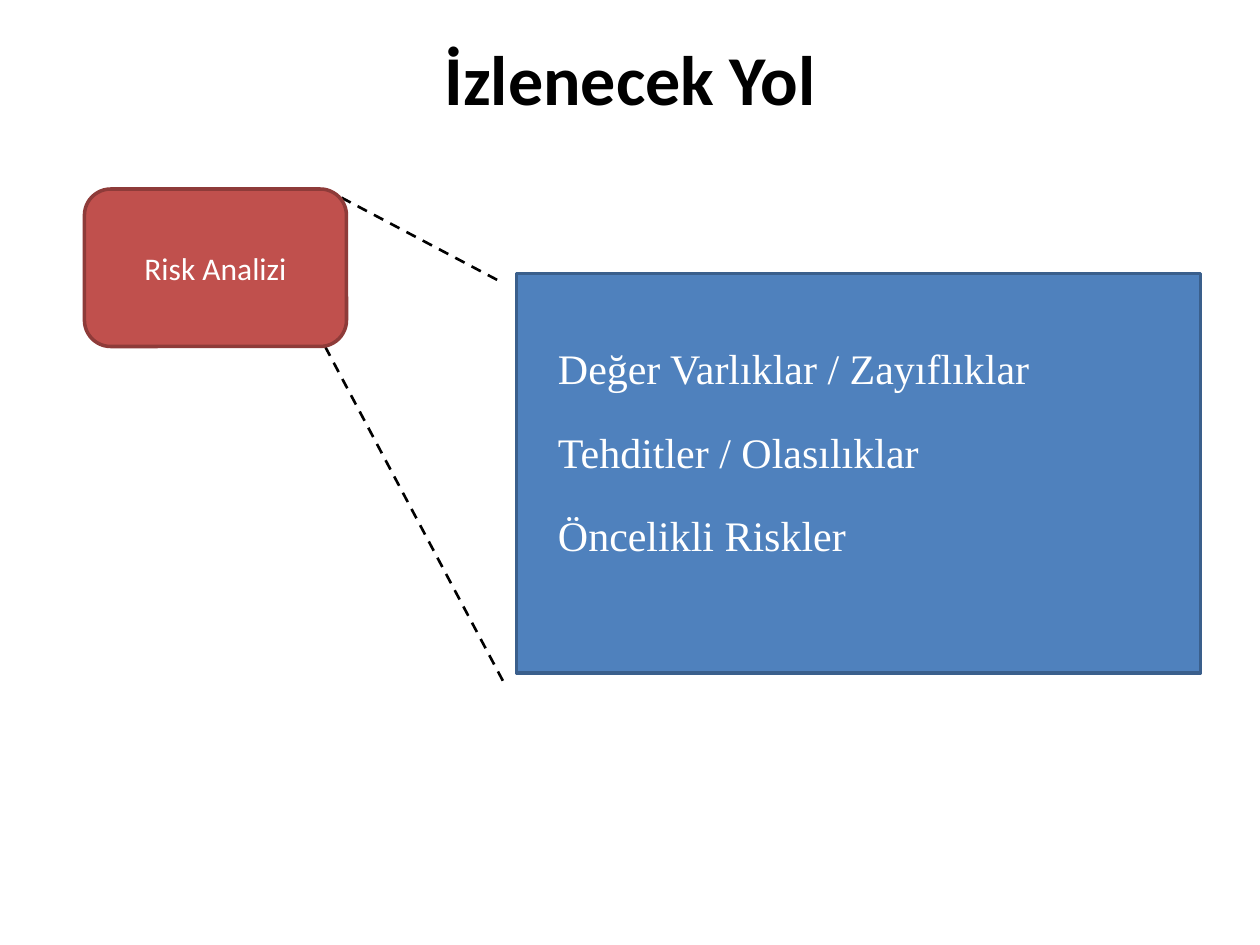
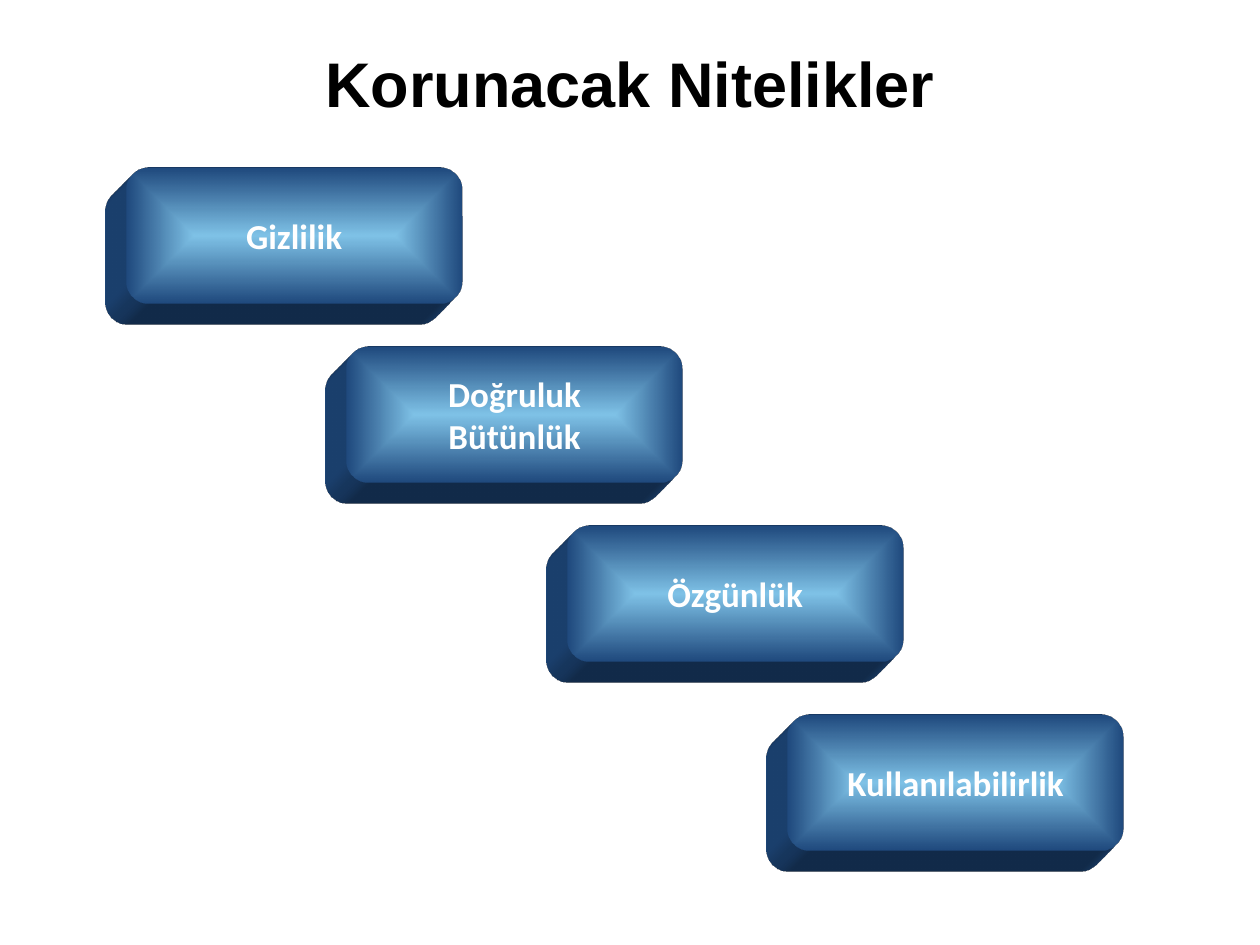
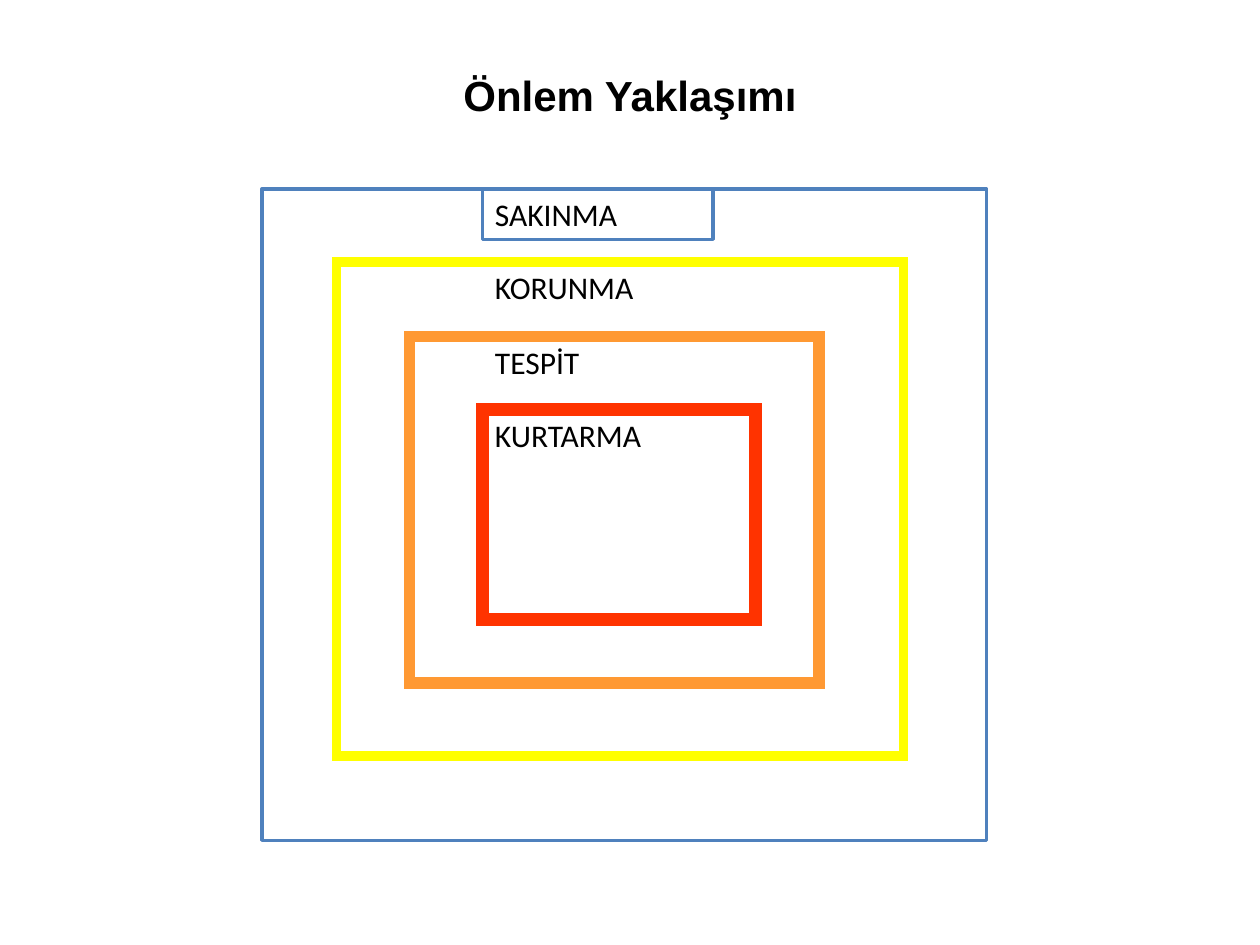
from dataclasses import dataclass
from typing import Optional

from lxml import etree
from pptx import Presentation
from pptx.dml.color import RGBColor
from pptx.enum import dml, shapes, text
from pptx.oxml import parse_xml
from pptx.oxml.ns import nsdecls, qn
from pptx.util import Inches, Pt

COLORS = {
    "black": "000000", "white": "FFFFFF",
    "blue": "4F81BD", "blue_edge": "3A5F8C",
    "red": "C0504D", "red_edge": "8E3B39",
    "glow": "7FC2E7", "navy": "1F497D",
    "yellow": "FFFF00", "orange": "FF9933", "scarlet": "FF3300",
}
RECT = shapes.MSO_SHAPE.RECTANGLE
ROUNDED = shapes.MSO_SHAPE.ROUNDED_RECTANGLE
MIDDLE = text.MSO_ANCHOR.MIDDLE
CENTER = text.PP_ALIGN.CENTER


@dataclass(frozen=True)
class Area:
    left: float
    top: float
    width: float
    height: float

    def lengths(self) -> tuple:
        return tuple(Inches(v) for v in (self.left, self.top, self.width, self.height))


@dataclass(frozen=True)
class TextStyle:
    size: float
    font: str = "Calibri"
    color: str = "black"
    bold: bool = False
    align: Optional[text.PP_ALIGN] = None
    gap: float = 0


@dataclass(frozen=True)
class Layer:
    label: str
    frame: Area
    color: str
    line_width: float
    label_width: float
    boxed: bool = False


STEP_STYLE = TextStyle(18, color="white", align=CENTER)
DETAIL_STYLE = TextStyle(24, "Times New Roman", "white", gap=19)
QUALITY_STYLE = TextStyle(20, color="white", bold=True, align=CENTER)
LAYER_STYLE = TextStyle(18)

DETAILS = ["Değer Varlıklar / Zayıflıklar", "Tehditler / Olasılıklar", "Öncelikli Riskler"]
QUALITIES = [
    (["Gizlilik"], 1.33),
    (["Doğruluk", "Bütünlük"], 2.75),
    (["Özgünlük"], 4.17),
    (["Kullanılabilirlik"], 5.67),
]
LAYERS = [
    Layer("SAKINMA", Area(2.08, 1.5, 5.75, 5.17), "blue", 2, 1.83, boxed=True),
    Layer("KORUNMA", Area(2.67, 2.08, 4.5, 3.92), "yellow", 5.5, 2),
    Layer("TESPİT", Area(3.25, 2.67, 3.25, 2.75), "orange", 6.5, 1.83),
    Layer("KURTARMA", Area(3.83, 3.25, 2.17, 1.67), "scarlet", 7.5, 2.33),
]
LABEL_LEFT = 3.83


def rgb(name: str) -> RGBColor:
    return RGBColor.from_string(COLORS[name])


def write(frame, lines: list[str], style: TextStyle, anchor=text.MSO_ANCHOR.TOP,
          wrap: bool = True) -> None:
    frame_format = {"auto_size": text.MSO_AUTO_SIZE.NONE, "word_wrap": wrap,
                    "vertical_anchor": anchor}
    for key, value in frame_format.items():
        setattr(frame, key, value)
    font_format = {"size": Pt(style.size), "name": style.font, "bold": style.bold}
    for index, line in enumerate(lines):
        paragraph = frame.add_paragraph() if index else frame.paragraphs[0]
        paragraph.alignment = style.align or text.PP_ALIGN.LEFT
        if index and style.gap:
            paragraph.space_before = Pt(style.gap)
        run = paragraph.add_run()
        run.text = line
        for key, value in font_format.items():
            setattr(run.font, key, value)
        run.font.color.rgb = rgb(style.color)


def add_titled_slide(deck, title: str, size: float, font: str):
    slide = deck.slides.add_slide(deck.slide_layouts[5])
    heading = slide.shapes.title
    heading.left, heading.top, heading.width, heading.height = Area(0, 0, 10, 1).lengths()
    write(heading.text_frame, [title], TextStyle(size, font, bold=True, align=CENTER),
          text.MSO_ANCHOR.BOTTOM)
    return slide


def add_block(slide, kind, area: Area, fill: Optional[str] = None,
              edge: Optional[str] = None, edge_width: float = 2):
    block = slide.shapes.add_shape(kind, *area.lengths())
    block.shadow.inherit = False
    if fill:
        block.fill.solid()
        block.fill.fore_color.rgb = rgb(fill)
    else:
        block.fill.background()
    if edge:
        block.line.color.rgb = rgb(edge)
        block.line.width = Pt(edge_width)
    else:
        block.line.fill.background()
    return block


def add_label(slide, area: Area, lines: list[str], style: TextStyle) -> None:
    write(slide.shapes.add_textbox(*area.lengths()).text_frame, lines, style)


def add_dashed_line(slide, start: tuple[float, float], end: tuple[float, float]) -> None:
    ends = [Inches(v) for v in (*start, *end)]
    ray = slide.shapes.add_connector(shapes.MSO_CONNECTOR.STRAIGHT, *ends)
    line_format = {"width": Pt(1.5), "dash_style": dml.MSO_LINE.DASH}
    for key, value in line_format.items():
        setattr(ray.line, key, value)
    ray.line.color.rgb = rgb("black")
    etree.SubElement(ray._element.spPr, qn("a:effectLst"))


def glow_from_center(block) -> None:
    block.fill.gradient()
    for stop, (position, color) in zip(block.fill.gradient_stops, [(0, "glow"), (1, "navy")]):
        stop.position = position
        stop.color.rgb = rgb(color)
    gradient = block._element.spPr.find(qn("a:gradFill"))
    gradient.replace(gradient.find(qn("a:lin")), parse_xml(
        f'<a:path {nsdecls("a")} path="shape">'
        '<a:fillToRect l="50000" t="50000" r="50000" b="50000"/></a:path>'))


def extrude(block) -> None:
    """Give the block solid depth towards the lower left."""
    for xml in (
        f'<a:scene3d {nsdecls("a")}><a:camera prst="legacyObliqueBottomLeft"/>'
        '<a:lightRig rig="legacyFlat3" dir="t"/></a:scene3d>',
        f'<a:sp3d {nsdecls("a")} extrusionH="430200" prstMaterial="legacyMatte">'
        '<a:bevelT w="13500" h="13500" prst="angle"/>'
        '<a:bevelB w="13500" h="13500" prst="angle"/>'
        f'<a:extrusionClr><a:srgbClr val="{COLORS["navy"]}"/></a:extrusionClr></a:sp3d>',
    ):
        block._element.spPr.append(parse_xml(xml))


def build_path_slide(deck) -> None:
    slide = add_titled_slide(deck, "İzlenecek Yol", 40, "Calibri")
    add_block(slide, RECT, Area(4.1, 2.17, 5.43, 3.17), "blue", "blue_edge")
    add_label(slide, Area(4.33, 2.67, 5, 1.92), DETAILS, DETAIL_STYLE)
    for start_top, end_top in [(1.5, 2.25), (2.75, 5.42)]:
        add_dashed_line(slide, (2.58, start_top), (4, end_top))
    step = add_block(slide, ROUNDED, Area(0.67, 1.5, 2.08, 1.25), "red", "red_edge")
    write(step.text_frame, ["Risk Analizi"], STEP_STYLE, MIDDLE, wrap=False)


def build_qualities_slide(deck) -> None:
    slide = add_titled_slide(deck, "Korunacak Nitelikler", 36, "Arial")
    for index, (lines, top) in enumerate(QUALITIES):
        quality = add_block(slide, ROUNDED, Area(1 + 1.75 * index, top, 2.67, 1.08))
        glow_from_center(quality)
        extrude(quality)
        write(quality.text_frame, lines, QUALITY_STYLE, MIDDLE, wrap=False)


def build_layers_slide(deck) -> None:
    slide = add_titled_slide(deck, "Önlem Yaklaşımı", 24, "Arial")
    for layer in LAYERS:
        fill = "white" if layer.boxed else None
        frame = add_block(slide, RECT, layer.frame, fill, layer.color, layer.line_width)
        label_area = Area(LABEL_LEFT, layer.frame.top, layer.label_width, 0.4)
        if layer.boxed:
            label = add_block(slide, RECT, label_area, fill, layer.color, layer.line_width)
            write(label.text_frame, [layer.label], LAYER_STYLE)
        else:
            outline = frame._element.spPr.find(qn("a:ln"))
            etree.SubElement(outline, qn("a:miter"), lim="800000")
            add_label(slide, label_area, [layer.label], LAYER_STYLE)


def main() -> None:
    deck = Presentation()
    deck.slide_width, deck.slide_height = Inches(10), Inches(7.5)
    build_path_slide(deck)
    build_qualities_slide(deck)
    build_layers_slide(deck)
    deck.save("out.pptx")


if __name__ == "__main__":
    main()
